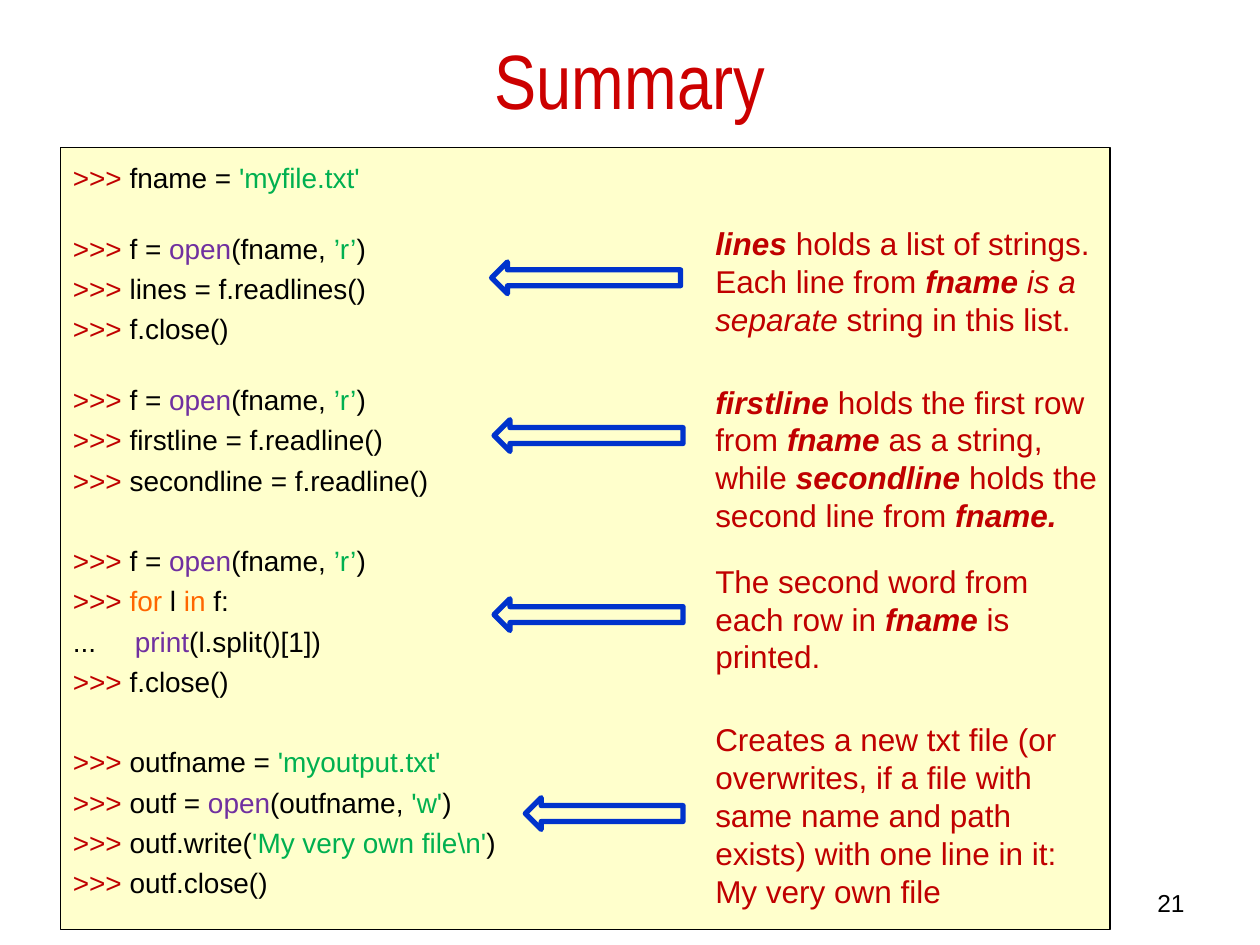
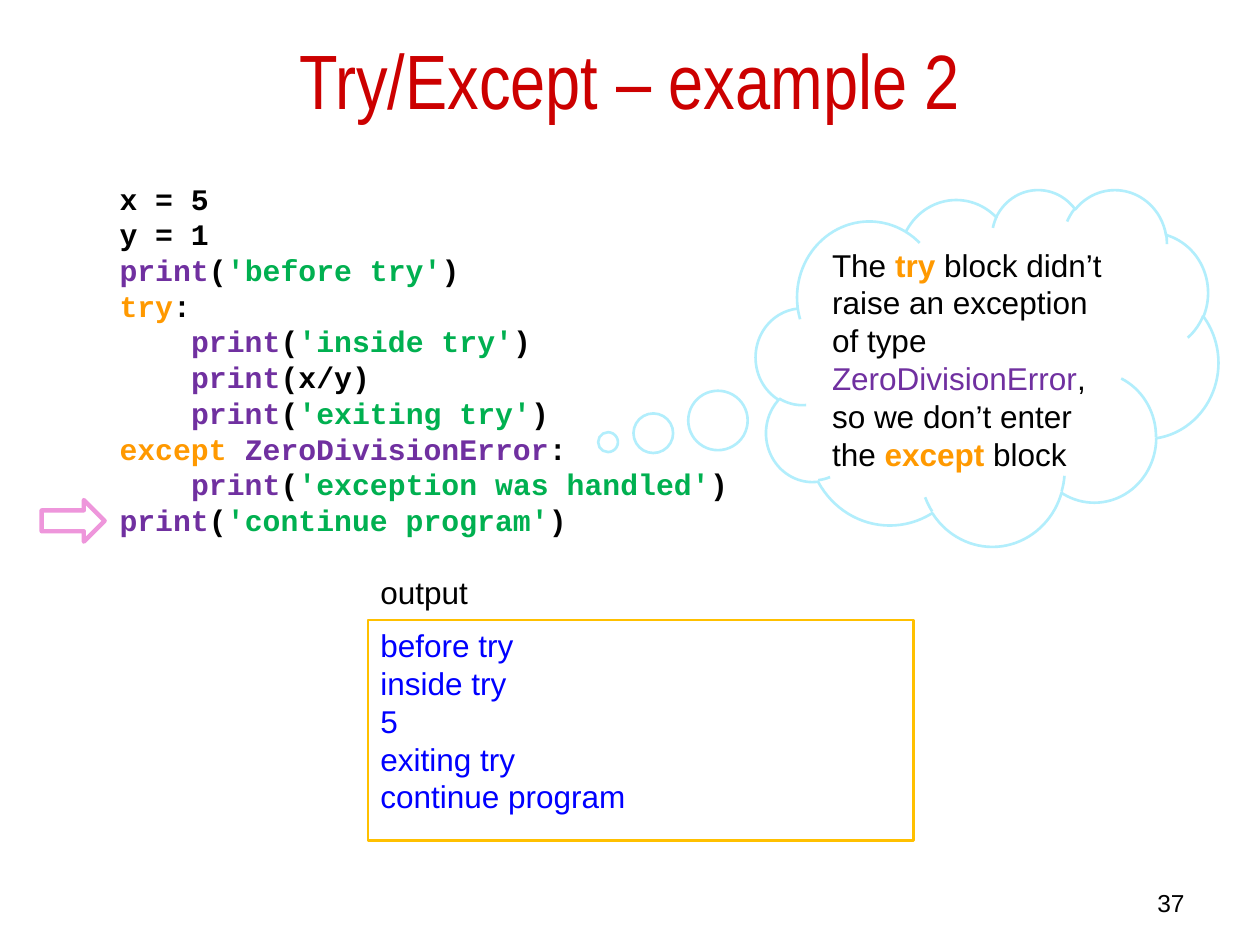
from dataclasses import dataclass

from pptx import Presentation
from pptx.dml.color import RGBColor
from pptx.enum.shapes import MSO_SHAPE as Preset
from pptx.enum.text import MSO_ANCHOR as Anchor, PP_ALIGN as Align
from pptx.util import Cm, Pt


@dataclass(frozen=True)
class Theme:
    title: str = "CC0000"
    code_panel: str = "FFFFCC"
    code_panel_edge: str = "000000"
    note_arrow: str = "0033CC"
    step_arrow: str = "EE96DB"
    output_edge: str = "FFC000"
    cloud_edge: str = "B2EEFC"
    sans: str = "Arial"
    narrow: str = "Arial Narrow"
    mono: str = "Courier New"
    title_size: int = 44
    body_size: int = 18
    mono_size: int = 17
    session_size: int = 16
    number_size: int = 14


THEME = Theme()

# Role of a run: colour, bold, italic
ROLES = {
    "title": (THEME.title, False, False),
    "plain": ("000000", False, False),
    "prompt": ("C00000", False, False),
    "string": ("00B050", False, False),
    "builtin": ("7030A0", False, False),
    "loop": ("FF6600", False, False),
    "keyword": ("FF9900", True, False),
    "note": ("C00000", False, False),
    "note_italic": ("C00000", False, True),
    "variable": ("C00000", True, True),
    "output": ("0000FF", False, False),
}

# ---- Content: a line is a list of (role, text) runs ----
PROMPT = ("prompt", ">>> ")
OPEN_TO_READ = [PROMPT, ("plain", "f = "), ("builtin", "open"),
                ("plain", "(fname, "), ("string", "’r’"), ("plain", ")")]
CLOSE = [PROMPT, ("plain", "f.close()")]

# Session blocks: space before in points, lines
SESSION = [
    (0, [[PROMPT, ("plain", "fname = "), ("string", "'myfile.txt'")]]),
    (17.5, [OPEN_TO_READ,
            [PROMPT, ("plain", "lines = f.readlines()")],
            CLOSE]),
    (17.5, [OPEN_TO_READ,
            [PROMPT, ("plain", "firstline = f.readline()")],
            [PROMPT, ("plain", "secondline = f.readline()")]]),
    (23, [OPEN_TO_READ,
          [PROMPT, ("loop", "for"), ("plain", " l "), ("loop", "in"),
           ("plain", " f:")],
          [("plain", "...     "), ("builtin", "print"),
           ("plain", "(l.split()[1])")],
          CLOSE]),
    (23, [[PROMPT, ("plain", "outfname = "), ("string", "'myoutput.txt'")],
          [PROMPT, ("plain", "outf = "), ("builtin", "open"),
           ("plain", "(outfname, "), ("string", "'w'"), ("plain", ")")],
          [PROMPT, ("plain", "outf.write("),
           ("string", "'My very own file\\n'"), ("plain", ")")],
          [PROMPT, ("plain", "outf.close()")]]),
]

# Notes: top, rows of text, arrow (left, top, width), lines; cm
NOTES = [
    (4.39, 3, (9.91, 5.28, 3.81), [
        [("variable", "lines "), ("note", "holds a list of strings.")],
        [("note", "Each line from "), ("variable", "fname"),
         ("note_italic", " is a separate "), ("note", "string in this list.")]]),
    (7.59, 4, (9.96, 8.46, 3.81), [
        [("variable", "firstline "), ("note", "holds the first row from "),
         ("variable", "fname "), ("note", "as a string, while "),
         ("variable", "secondline "), ("note", "holds the second line from "),
         ("variable", "fname.")]]),
    (11.2, 3, (9.96, 12.07, 3.81), [
        [("note", "The second word from each row in "),
         ("variable", "fname"), ("note", " is printed.")]]),
    (14.4, 5, (10.59, 16.08, 3.18), [
        [("note", "Creates a new txt file (or overwrites, if a file with same "
                  "name and path exists) with one line in it:")],
        [("note", "My very own file")]]),
]


def print_call(text, indent=""):
    start = [("plain", indent)] if indent else []
    return start + [("builtin", "print"), ("plain", "("),
                    ("string", text), ("plain", ")")]


INDENT = " " * 4
PROGRAM = [
    [("plain", "x = 5")],
    [("plain", "y = 1")],
    print_call("'before try'"),
    [("keyword", "try"), ("plain", ":")],
    print_call("'inside try'", INDENT),
    [("plain", INDENT), ("builtin", "print"), ("plain", "(x/y)")],
    print_call("'exiting try'", INDENT),
    [("keyword", "except "), ("builtin", "ZeroDivisionError"), ("plain", ":")],
    print_call("'exception was handled'", INDENT),
    print_call("'continue program'"),
]
OUTPUT = [[("output", text)] for text in (
    "before try", "inside try", "5", "exiting try", "continue program")]
THOUGHT = [[("plain", "The "), ("keyword", "try"),
            ("plain", " block didn’t raise an exception of type "),
            ("builtin", "ZeroDivisionError"),
            ("plain", ", so we don’t enter the "),
            ("keyword", "except"), ("plain", " block")]]


# ---- Helpers ----
def write(frame, lines, size=THEME.body_size, font=THEME.sans, bold=False,
          align=Align.LEFT, spacing=None, gap=0):
    """Append lines to a frame; gap is the space before the first of them."""
    for index, line in enumerate(lines):
        paragraph = frame.add_paragraph() if frame.text else frame.paragraphs[0]
        paragraph.alignment = align
        if spacing:
            paragraph.line_spacing = spacing
        if gap and index == 0:
            paragraph.space_before = Pt(gap)
        for role, text in line:
            color, role_bold, italic = ROLES[role]
            run = paragraph.add_run()
            run.text = text
            run.font.name = font
            run.font.size = Pt(size)
            run.font.bold = bold or role_bold
            run.font.italic = italic
            run.font.color.rgb = RGBColor.from_string(color)


def add_text(slide, box, lines, anchor=Anchor.TOP, **style):
    frame = slide.shapes.add_textbox(*map(Cm, box)).text_frame
    frame.word_wrap = True
    frame.vertical_anchor = anchor
    write(frame, lines, **style)


def add_outline(slide, preset, box, edge, weight, fill=None, anchor=Anchor.TOP):
    shape = slide.shapes.add_shape(preset, *map(Cm, box))
    shape.shadow.inherit = False
    if fill:
        shape.fill.solid()
        shape.fill.fore_color.rgb = RGBColor.from_string(fill)
    else:
        shape.fill.background()
    shape.line.color.rgb = RGBColor.from_string(edge)
    shape.line.width = Pt(weight)
    shape.text_frame.word_wrap = True
    shape.text_frame.vertical_anchor = anchor
    return shape


def add_slide(deck, title, number):
    slide = deck.slides.add_slide(deck.slide_layouts[6])
    add_text(slide, (1.27, 0, 22.86, 3.18), [[("title", title)]], Anchor.MIDDLE,
             size=THEME.title_size, font=THEME.narrow, align=Align.CENTER)
    add_text(slide, (18.21, 17.78, 5.92, 0.64), [[("plain", str(number))]],
             size=THEME.number_size, align=Align.RIGHT)
    return slide


# ---- Slides ----
def build_summary(deck):
    slide = add_slide(deck, "Summary", 21)

    # Interpreter session
    session = add_outline(slide, Preset.RECTANGLE, (1.22, 2.97, 21.16, 15.77),
                          THEME.code_panel_edge, 0.75, THEME.code_panel)
    for gap, lines in SESSION:
        write(session.text_frame, lines, size=THEME.session_size,
              spacing=1.2, gap=gap)

    # Notes with arrows back to the code
    for top, rows, (left, arrow_top, width), lines in NOTES:
        arrow = add_outline(slide, Preset.RIGHT_ARROW,
                            (left, arrow_top, width, 0.64), THEME.note_arrow, 3)
        arrow.rotation = 180
        add_text(slide, (14.17, top, 8.2, 0.25 + 0.77 * rows), lines)


def build_try_except(deck):
    slide = add_slide(deck, "Try/Except – example 2", 37)

    # Current step
    add_outline(slide, Preset.RIGHT_ARROW, (0.84, 10.08, 1.27, 0.84),
                THEME.step_arrow, 2.5)

    # Program output
    output = add_outline(slide, Preset.RECTANGLE, (7.42, 12.5, 11, 4.45),
                         THEME.output_edge, 1.5)
    write(output.text_frame, OUTPUT)
    add_text(slide, (7.42, 11.43, 3.61, 1.07), [[("plain", "output")]])

    # Explanation
    cloud = add_outline(slide, Preset.CLOUD_CALLOUT, (15.24, 3.81, 9.32, 7.19),
                        THEME.cloud_edge, 1.5, anchor=Anchor.MIDDLE)
    cloud.adjustments[0], cloud.adjustments[1] = -0.82, 0.21
    write(cloud.text_frame, THOUGHT)

    # Program
    add_text(slide, (2.16, 3.51, 12.93, 7.52), PROGRAM,
             size=THEME.mono_size, font=THEME.mono, bold=True)


def main():
    deck = Presentation()
    deck.slide_width, deck.slide_height = Cm(25.4), Cm(19.05)
    build_summary(deck)
    build_try_except(deck)
    deck.save("out.pptx")


if __name__ == "__main__":
    main()
